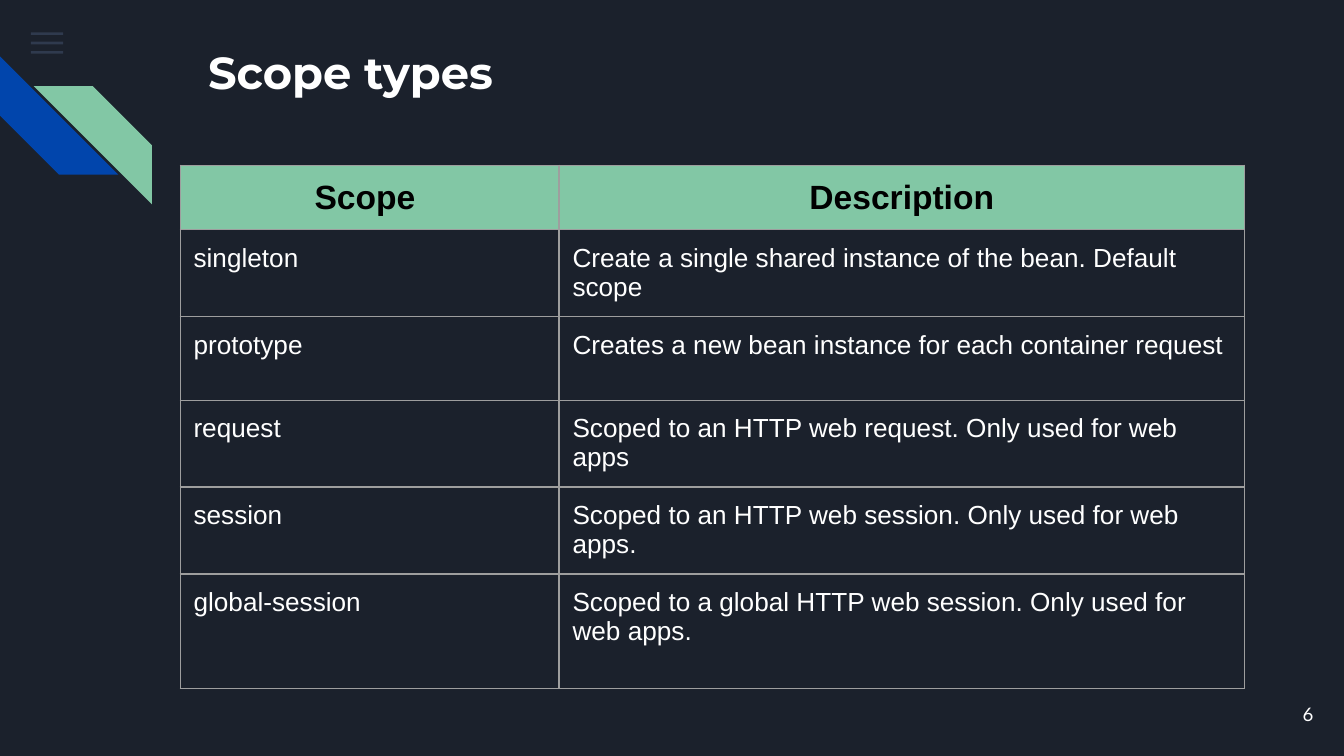
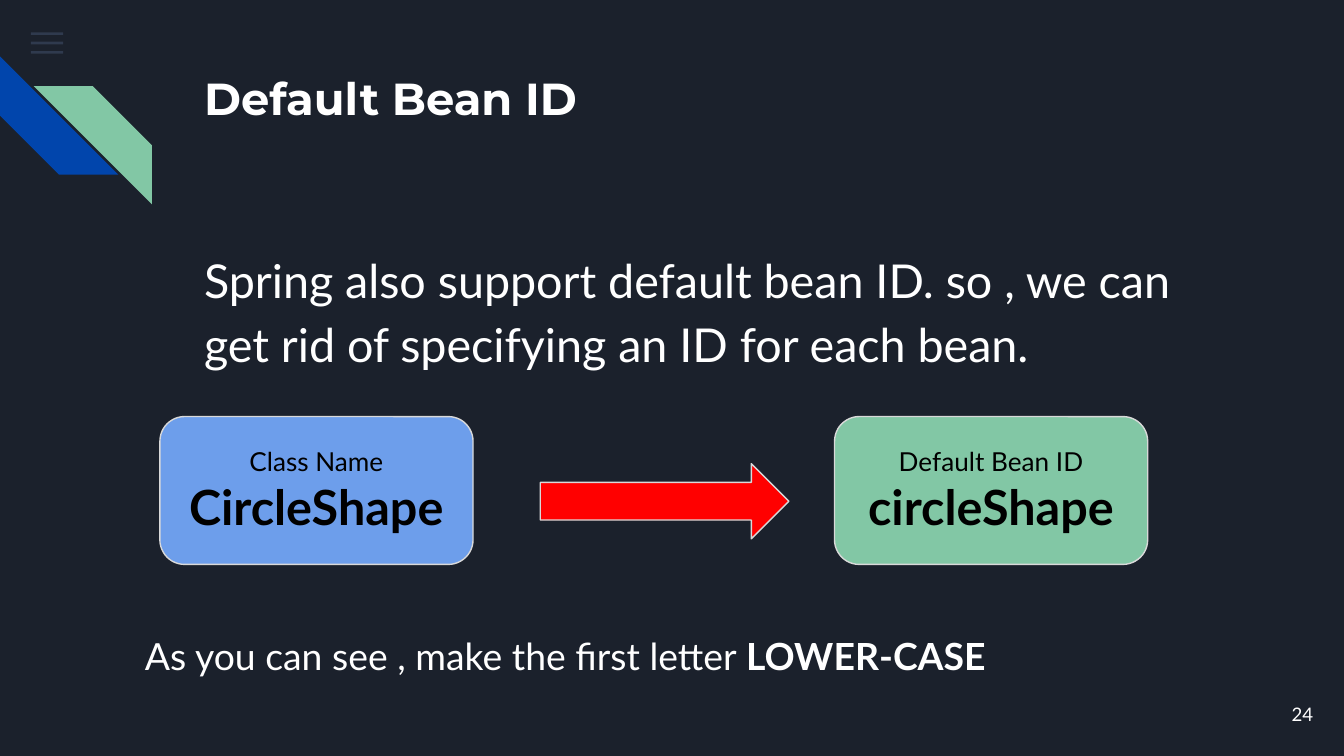
from lxml.etree import SubElement
from pptx import Presentation
from pptx.dml.color import RGBColor
from pptx.enum.shapes import MSO_SHAPE
from pptx.enum.text import MSO_ANCHOR, PP_ALIGN
from pptx.oxml.ns import qn
from pptx.util import Inches, Pt

NAVY, SLATE, BLUE, GREEN = "1B212C", "55688B", "0145AC", "82C7A5"
SKY, RED, SILVER, GREY = "6D9EEB", "FF0000", "D9D9D9", "9E9E9E"
WHITE, BLACK = "FFFFFF", "000000"
HEADING, BODY, TABLE = "Montserrat", "Lato", "Arial"
INSET = Inches(0.1)

SCOPES = [
    ("Scope ", "Description"),
    ("singleton", "Create a single shared instance of the bean. Default scope"),
    ("prototype", "Creates a new bean instance for each container request"),
    ("request", "Scoped to an HTTP web request. Only used for web apps"),
    ("session", "Scoped to an HTTP web session. Only used for web apps."),
    ("global-session", "Scoped to a global HTTP web session. Only used for web apps."),
]
SCOPE_COLUMNS = (2.82, 5.1)
SCOPE_ROWS = (0.46, 0.62, 0.62, 0.62, 0.62, 0.85)


def color(value):
    """Turn a hex string into a colour."""
    return RGBColor.from_string(value)


def add_run(paragraph, words, size, font, ink, bold=False):
    """Append one styled run to a paragraph."""
    run = paragraph.add_run()
    run.text = words
    run.font.size = Pt(size)
    run.font.name = font
    run.font.bold = bold
    run.font.color.rgb = color(ink)


def set_insets(holder, bottom=INSET):
    """Give a text frame or a cell the common inner margins."""
    holder.margin_left = holder.margin_right = holder.margin_top = INSET
    holder.margin_bottom = bottom


def add_text(slide, box, runs, align=PP_ALIGN.LEFT, anchor=MSO_ANCHOR.TOP):
    """Add a one-paragraph text box and return its paragraph."""
    frame = slide.shapes.add_textbox(*map(Inches, box)).text_frame
    frame.word_wrap = True
    frame.vertical_anchor = anchor
    set_insets(frame)
    paragraph = frame.paragraphs[0]
    paragraph.alignment = align
    for run in runs:
        add_run(paragraph, *run)
    return paragraph


def add_figure(slide, preset, box, fill, line=None):
    """Add a flat preset shape with an optional thin outline."""
    figure = slide.shapes.add_shape(preset, *map(Inches, box))
    figure.shadow.inherit = False
    figure.fill.solid()
    figure.fill.fore_color.rgb = color(fill)
    if line:
        figure.line.color.rgb = color(line)
        figure.line.width = Pt(0.75)
    else:
        figure.line.fill.background()
    return figure


def add_menu_icon(slide, left, top):
    """Draw the three translucent menu bars."""
    for row in range(3):
        bar = add_figure(slide, MSO_SHAPE.RECTANGLE, (left, top + 0.07 * row, 0.24, 0.02), SLATE)
        tint = bar.fill._xPr.find(qn("a:solidFill"))[0]
        SubElement(tint, qn("a:alpha"), val="36000")


def add_stripes(slide, left, top):
    """Draw the interlocking corner stripes."""
    for dx, dy, turn, fill in ((0, 0, 270, BLUE), (0.25, 0.22, 90, GREEN)):
        stripe = add_figure(slide, MSO_SHAPE.DIAGONAL_STRIPE, (left + dx, top + dy, 0.88, 0.88), fill)
        stripe.rotation = turn


def add_base(deck, title, title_box, number):
    """Start a slide with the shared background, corner, title and number."""
    slide = deck.slides.add_slide(deck.slide_layouts[6])
    slide.background.fill.solid()
    slide.background.fill.fore_color.rgb = color(NAVY)
    add_menu_icon(slide, 0.23, 0.24)
    add_stripes(slide, 0, 0.42)
    add_text(slide, title_box, [(title, 24, HEADING, WHITE, True)])
    add_text(slide, (9.27, 5.1, 0.6, 0.43), [(number, 10, BODY, WHITE)],
             PP_ALIGN.RIGHT, MSO_ANCHOR.MIDDLE)
    return slide


def add_borders(cell):
    """Outline a cell on all four sides."""
    properties = cell._tc.get_or_add_tcPr()
    for side in ("a:lnL", "a:lnR", "a:lnT", "a:lnB"):
        edge = SubElement(properties, qn(side), w=str(Pt(0.75)))
        SubElement(SubElement(edge, qn("a:solidFill")), qn("a:srgbClr"), val=GREY)


def fill_cell(cell, words, header):
    """Style one table cell and write its text."""
    add_borders(cell)
    set_insets(cell, Inches(0.08))
    paragraph = cell.text_frame.paragraphs[0]
    if header:
        cell.fill.solid()
        cell.fill.fore_color.rgb = color(GREEN)
        paragraph.alignment = PP_ALIGN.CENTER
        add_run(paragraph, words, 18, TABLE, BLACK, True)
    else:
        cell.fill.background()
        add_run(paragraph, words, 14, TABLE, WHITE)


def add_scope_table(slide, left, top):
    """Place the table of bean scopes."""
    box = (left, top, sum(SCOPE_COLUMNS), sum(SCOPE_ROWS))
    table = slide.shapes.add_table(len(SCOPES), len(SCOPE_COLUMNS), *map(Inches, box)).table
    table.horz_banding = False
    for column, width in zip(table.columns, SCOPE_COLUMNS):
        column.width = Inches(width)
    for row, height in zip(table.rows, SCOPE_ROWS):
        row.height = Inches(height)
    for r, scope in enumerate(SCOPES):
        for c, words in enumerate(scope):
            fill_cell(table.cell(r, c), words, r == 0)


def add_name_card(slide, box, fill, label, name):
    """Draw a rounded card with a small label over a bold name."""
    card = add_figure(slide, MSO_SHAPE.ROUNDED_RECTANGLE, box, fill, SILVER)
    frame = card.text_frame
    frame.word_wrap = True
    frame.vertical_anchor = MSO_ANCHOR.MIDDLE
    set_insets(frame)
    for paragraph, run in (
        (frame.paragraphs[0], (label, 14, BODY, BLACK)),
        (frame.add_paragraph(), (name, 26, BODY, BLACK, True)),
    ):
        paragraph.alignment = PP_ALIGN.CENTER
        add_run(paragraph, *run)


def add_naming_flow(slide, left, top):
    """Show the class name turning into the default bean ID."""
    width, height = 2.33, 1.1
    add_name_card(slide, (left, top, width, height), SKY, "Class Name", "CircleShape")
    add_figure(slide, MSO_SHAPE.RIGHT_ARROW, (left + 2.83, top + 0.35, 1.85, 0.56), RED, SILVER)
    add_name_card(slide, (left + 5.02, top, width, height), GREEN, "Default Bean ID", "circleShape")


def build_scope_types(deck):
    """Build the slide on scope types."""
    slide = add_base(deck, "Scope types", (1.45, 0.23, 7.7, 0.66), "6")
    add_scope_table(slide, 1.34, 1.23)


def build_default_bean_id(deck):
    """Build the slide on default bean IDs."""
    slide = add_base(deck, "Default Bean ID", (1.42, 0.43, 7.7, 1), "24")
    intro = add_text(slide, (1.42, 1.71, 7.7, 1.1), [(
        "Spring also support default bean ID. so , we can get rid of "
        "specifying an ID for each bean.", 25, BODY, WHITE)])
    intro.line_spacing = 1.15
    intro.space_after = Pt(16)
    add_naming_flow(slide, 1.19, 3.1)
    add_text(slide, (0.98, 4.61, 7.97, 0.56), [
        ("As you can see , make the first letter ", 20, BODY, WHITE),
        ("LOWER-CASE", 20, BODY, WHITE, True),
    ])


def main():
    """Build and save the deck in 16:9."""
    deck = Presentation()
    deck.slide_width = Inches(10)
    deck.slide_height = Inches(10 * 9 / 16)
    build_scope_types(deck)
    build_default_bean_id(deck)
    deck.save("out.pptx")


if __name__ == "__main__":
    main()
